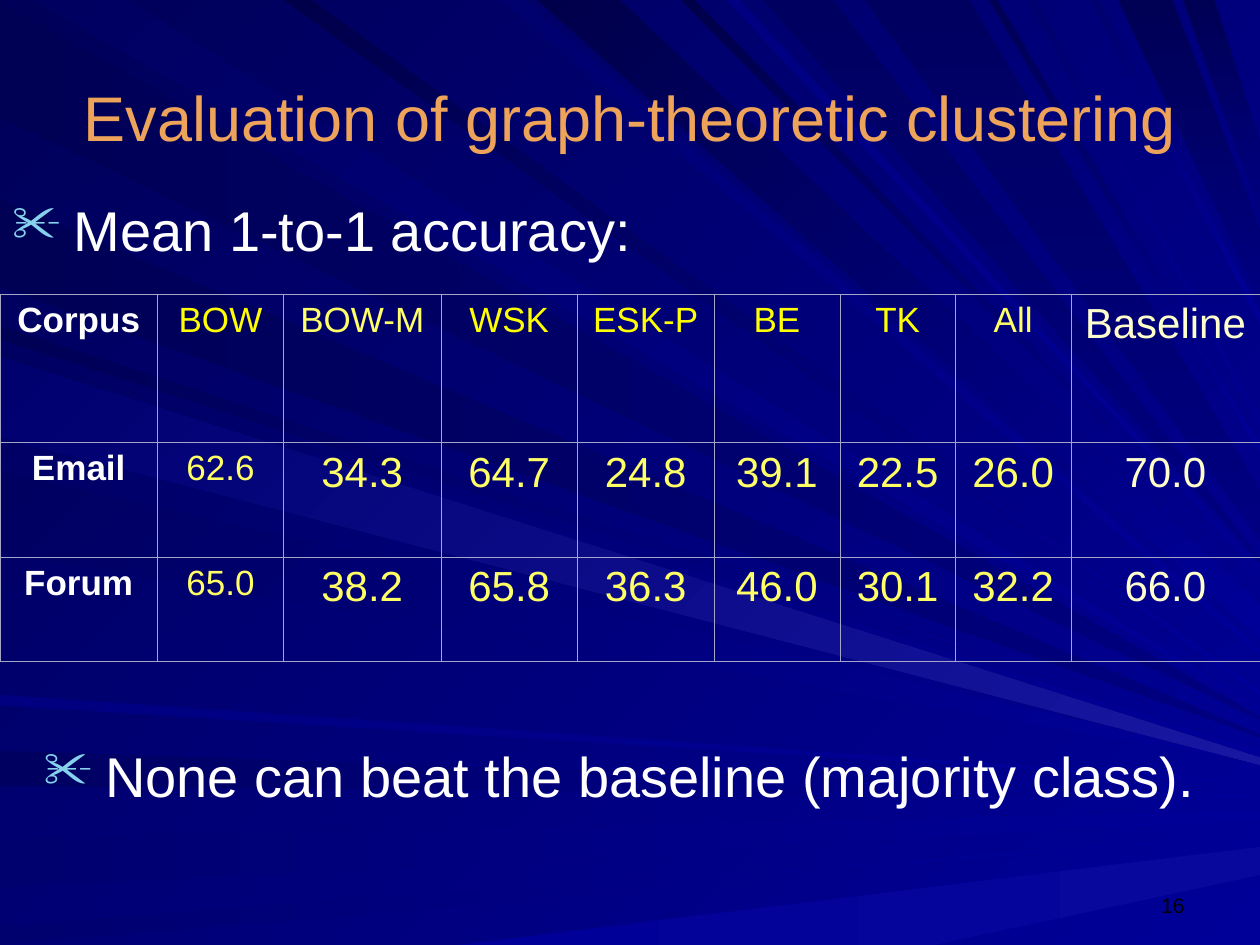
import pptx
import pptx.dml.color
import pptx.enum.text
import pptx.oxml
import pptx.oxml.ns
import pptx.util
from lxml import etree

Pt = pptx.util.Pt
ALIGN = pptx.enum.text.PP_ALIGN
ANCHOR = pptx.enum.text.MSO_ANCHOR
qn = pptx.oxml.ns.qn

WIDTH, HEIGHT = 720, 540
WHITE, YELLOW, SOFT_YELLOW, CREAM = "FFFFFF", "FFFF00", "FFFF66", "FFFFCC"
NAVY, BLUE, GLOW = "000080", "000099", "1717A2"
BLACKISH, DARK, DUSK, MIDDLE = "00004A", "000055", "000061", "00006F"

RAYS = {
    ("left", 0): [
        (DARK, NAVY, 1, 67, 410, 1),
        (DUSK, BLUE, 429, 449, 454, 1),
        (MIDDLE, BLUE, 479, 507, 463, 6),
        (MIDDLE, BLUE, 529, 540, 476, 1),
        (DARK, BLUE, 186, 194, 424, 1),
        (DARK, NAVY, 114, 164, 420, 1),
    ],
    ("top", 45): [
        (DUSK, BLUE, 73, 19, 405, 1),
        (MIDDLE, BLUE, 300, 287, 371, 4),
        (BLACKISH, BLUE, 354, 307, 345, 20),
        (BLACKISH, BLUE, 397, 389, 333, 1),
        (BLACKISH, BLUE, 178, 162, 394, 4),
        (NAVY, BLUE, 423, 415, 326, 1),
        (DARK, BLUE, 570, 565, 255, 4),
        (MIDDLE, BLUE, 593, 587, 241, 1),
        (MIDDLE, BLUE, 628, 623, 179, 6),
    ],
    ("top", 90): [
        (DUSK, NAVY, 476, 436, 320, 1),
        (DARK, NAVY, 670, 639, 132, 39),
        (DARK, NAVY, 694, 676, 82, 38),
        (DUSK, NAVY, 554, 494, 281, 27),
    ],
    ("left", 45): [
        (DUSK, BLUE, 200, 246, 429, 4),
        (DUSK, BLUE, 269, 315, 435, 1),
        (NAVY, BLUE, 397, 403, 447, 1),
        (MIDDLE, GLOW, 204, 250, 433, 4),
    ],
    ("bottom", 0): [(BLUE, "08089C", 262, 534, 484, 16)],
}

COLUMN_WIDTHS = [90, 72, 90, 78, 78, 72, 66, 66, 108]
ROW_HEIGHTS = [85, 65.5, 59.5]
ACCURACY = [
    ["Corpus", "BOW", "BOW-M", "WSK", "ESK-P", "BE", "TK", "All", "Baseline"],
    ["Email", "62.6", "34.3", "64.7", "24.8", "39.1", "22.5", "26.0", "70.0"],
    ["Forum", "65.0", "38.2", "65.8", "36.3", "46.0", "30.1", "32.2", "66.0"],
]


def color(value):
    return pptx.dml.color.RGBColor.from_string(value)


def write(frame, text, size=32, fill=WHITE, bold=False, align=ALIGN.LEFT, font="Arial"):
    paragraph = frame.paragraphs[0]
    paragraph.alignment = align
    run = paragraph.add_run()
    run.text = text
    run.font.name = font
    run.font.size = Pt(size)
    run.font.bold = bold
    run.font.color.rgb = color(fill)


def paint_gradient(fill, start, end, angle):
    fill.gradient()
    fill.gradient_angle = (360 - angle) % 360
    for stop, value in zip(fill.gradient_stops, (start, end)):
        stop.color.rgb = color(value)


def edge_point(edge, offset):
    return {"left": (0, offset), "top": (offset, 0), "bottom": (offset, HEIGHT)}[edge]


def cell_format(row, column, text):
    if column == 0:
        return {"size": 20, "fill": WHITE, "bold": True}
    if column == len(COLUMN_WIDTHS) - 1:
        return {"size": 24, "fill": CREAM}
    if row == 0:
        return {"size": 20, "fill": SOFT_YELLOW if text in ("BOW-M", "All") else YELLOW}
    return {"size": 20 if column == 1 else 24, "fill": SOFT_YELLOW}


class SlideBuilder:
    title_color = "EDA359"
    bullet_color = "86D1EC"
    border_color = "A5A5C6"
    border_width = 0.34

    def __init__(self, presentation):
        self.slide = presentation.slides.add_slide(presentation.slide_layouts[5])

    def background(self, start, end, angle):
        paint_gradient(self.slide.background.fill, start, end, angle)

    def rays(self, rays_by_edge):
        group = self.slide.shapes.add_group_shape()
        for (edge, angle), rays in rays_by_edge.items():
            for start, end, first, second, far, thickness in rays:
                corners = [
                    edge_point(edge, first),
                    edge_point(edge, second),
                    (WIDTH, far + thickness),
                    (WIDTH, far),
                ]
                self.ray(group, corners, start, end, angle)

    def ray(self, group, corners, start, end, angle):
        first, *others = [(Pt(x), Pt(y)) for x, y in corners]
        builder = group.shapes.build_freeform(*first)
        builder.add_line_segments(others, close=True)
        shape = builder.convert_to_shape()
        shape.shadow.inherit = False
        shape.line.fill.background()
        paint_gradient(shape.fill, start, end, angle)

    def title(self, text, left, top, width, height):
        title = self.slide.shapes.title
        self.slide.shapes.element.append(title.element)
        title.left, title.top, title.width, title.height = map(Pt, (left, top, width, height))
        title.text_frame.vertical_anchor = ANCHOR.MIDDLE
        write(title.text_frame, text, size=36, fill=self.title_color, align=ALIGN.CENTER)

    def text(self, text, left, top, width, height, anchor=ANCHOR.TOP, bullet=None, **style):
        frame = self.slide.shapes.add_textbox(*map(Pt, (left, top, width, height))).text_frame
        frame.word_wrap = True
        frame.vertical_anchor = anchor
        if bullet:
            self.bullet(frame.paragraphs[0], bullet)
        write(frame, text, **style)

    def bullet(self, paragraph, character, indent=35):
        properties = paragraph._p.get_or_add_pPr()
        properties.set("marL", str(Pt(indent)))
        properties.set("indent", str(-Pt(indent)))
        bullet_color = etree.SubElement(properties, qn("a:buClr"))
        etree.SubElement(bullet_color, qn("a:srgbClr"), val=self.bullet_color)
        etree.SubElement(properties, qn("a:buSzPct"), val="90000")
        etree.SubElement(properties, qn("a:buChar"), char=character)

    def borders(self, cell):
        properties = cell._tc.get_or_add_tcPr()
        for side in ("L", "R", "T", "B"):
            line = etree.SubElement(properties, qn(f"a:ln{side}"), w=str(Pt(self.border_width)))
            fill = etree.SubElement(line, qn("a:solidFill"))
            etree.SubElement(fill, qn("a:srgbClr"), val=self.border_color)

    def table(self, values, left, top, widths, heights):
        table = self.slide.shapes.add_table(
            len(heights), len(widths), Pt(left), Pt(top), Pt(sum(widths)), Pt(sum(heights))
        ).table
        table.first_row = table.horz_banding = False
        for column, width in zip(table.columns, widths):
            column.width = Pt(width)
        for row, height in zip(table.rows, heights):
            row.height = Pt(height)
        for row, texts in enumerate(values):
            for column, text in enumerate(texts):
                cell = table.cell(row, column)
                self.borders(cell)
                cell.fill.background()
                write(cell.text_frame, text, align=ALIGN.CENTER, **cell_format(row, column, text))


def main():
    presentation = pptx.Presentation()
    presentation.slide_width, presentation.slide_height = Pt(WIDTH), Pt(HEIGHT)
    builder = SlideBuilder(presentation)
    builder.background("000058", BLUE, 45)
    builder.rays(RAYS)
    builder.title("Evaluation of graph-theoretic clustering", 36, 21.6, 648, 90)
    builder.table(ACCURACY, 0, 168, COLUMN_WIDTHS, ROW_HEIGHTS)
    builder.text("None can beat the baseline (majority class).", 18, 420, 684, 46, bullet="✂")
    builder.text("Mean 1-to-1 accuracy:", 0, 108, 590, 46, bullet="✂")
    builder.text("16", 516, 492, 168, 36, anchor=ANCHOR.BOTTOM, size=12, fill="000000", align=ALIGN.RIGHT)
    presentation.save("out.pptx")


if __name__ == "__main__":
    main()
